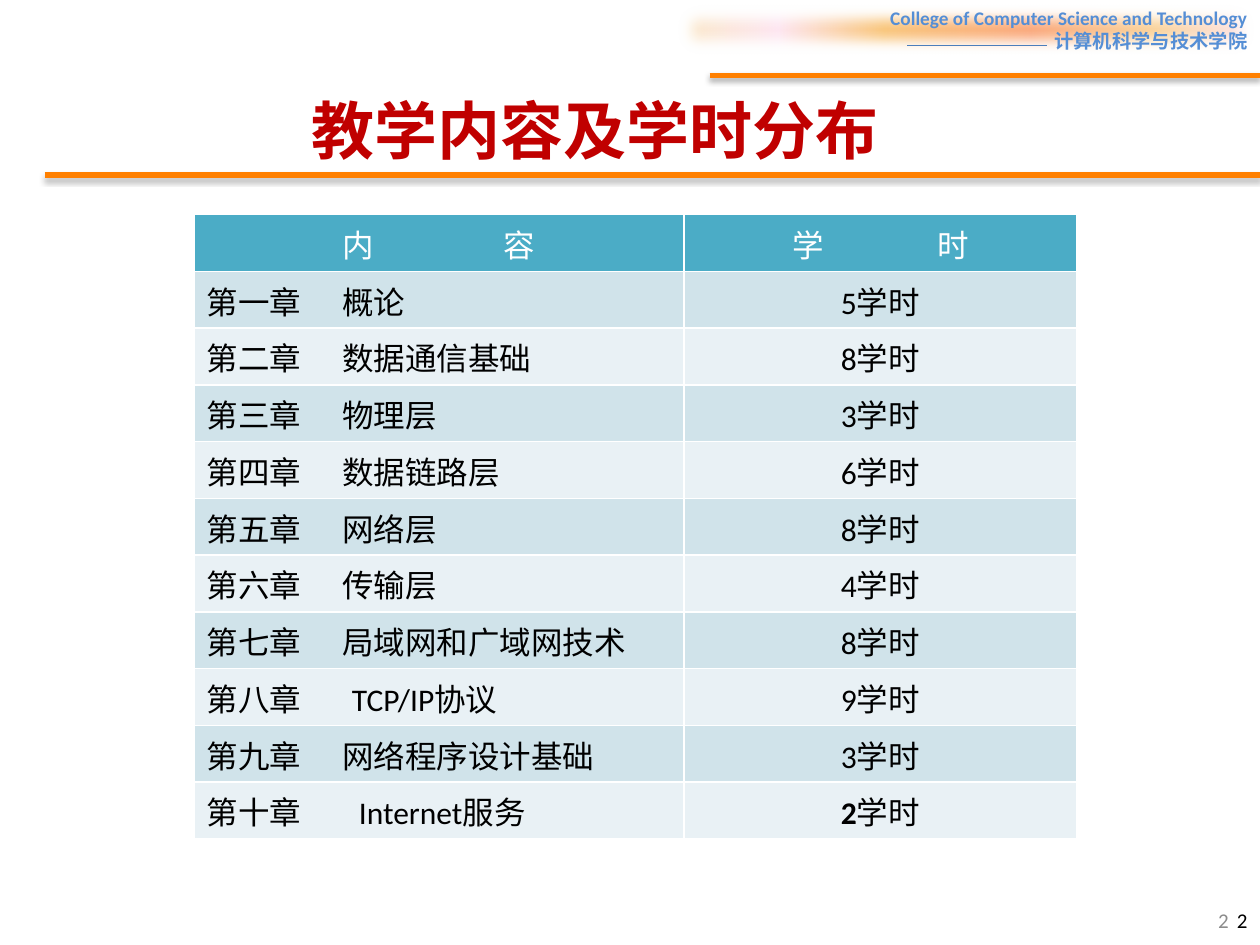
"""Build the slide listing the course chapters and their teaching hours."""
from dataclasses import dataclass

from lxml import etree
from pptx import Presentation
from pptx import util as u
from pptx.dml.color import RGBColor
from pptx.enum import shapes, text
from pptx.oxml import ns

Pt = u.Pt
A = ns.nsdecls("a")
BLUE = RGBColor(0x55, 0x8E, 0xD5)
RULE_BLUE = RGBColor(0x4B, 0x7E, 0xBC)
ORANGE = RGBColor(0xFF, 0x80, 0x00)
RED = RGBColor(0xC0, 0x00, 0x00)
GREY = RGBColor(0x8C, 0x8C, 0x8C)
BLACK = RGBColor(0x00, 0x00, 0x00)
WHITE = RGBColor(0xFF, 0xFF, 0xFF)
TEAL = RGBColor(0x4B, 0xAC, 0xC6)
BANDS = (RGBColor(0xD0, 0xE3, 0xEA), RGBColor(0xE9, 0xF1, 0xF5))
GLOW = ((0, "FBEAC7"), (18, "FEE7F2"), (36, "FAC77D"),
        (61, "FBA97D"), (82, "FBD49C"), (100, "FEE7F2"))
LATIN, CJK = "Calibri", "Noto Sans CJK SC"
LEFT, CENTER, RIGHT = (text.PP_ALIGN.LEFT, text.PP_ALIGN.CENTER,
                       text.PP_ALIGN.RIGHT)


@dataclass(frozen=True)
class Chapter:
    number: str
    topic: str
    hours: str
    tab: float = 77.5
    bold: bool = False


@dataclass(frozen=True)
class Rule:
    x1: float
    x2: float
    y: float
    color: RGBColor
    width: float
    shadow: bool = False


@dataclass(frozen=True)
class Label:
    words: str
    box: tuple
    align: text.PP_ALIGN
    anchor: text.MSO_ANCHOR
    style: dict


CHAPTERS = (
    Chapter("第一章", "概论", "5"),
    Chapter("第二章", "数据通信基础", "8"),
    Chapter("第三章", "物理层", "3"),
    Chapter("第四章", "数据链路层", "6"),
    Chapter("第五章", "网络层", "8"),
    Chapter("第六章", "传输层", "4"),
    Chapter("第七章", "局域网和广域网技术", "8"),
    Chapter("第八章", "TCP/IP协议", "9", tab=83),
    Chapter("第九章", "网络程序设计基础", "3"),
    Chapter("第十章", "Internet服务", "2", tab=87, bold=True),
)
HEADINGS = (("内", "容", 35), ("学", "时", 30.5))
RULES = (
    Rule(518.5, 598.5, 26, RULE_BLUE, 0.75),
    Rule(25.5, 720, 100, ORANGE, 3, True),
    Rule(405.5, 720, 43, ORANGE, 3, True),
)
LABELS = (
    Label("教学内容及学时分布", (111, 49, 458, 51), CENTER, text.MSO_ANCHOR.TOP,
          {"size": Pt(36), "bold": True, "name": CJK, "color": RED}),
    Label("2", (541.5, 511.2, 167.8, 28.8), RIGHT, text.MSO_ANCHOR.MIDDLE,
          {"size": Pt(12), "color": GREY}),
    Label("2", (552.2, 511.2, 167.8, 28.8), RIGHT, text.MSO_ANCHOR.MIDDLE,
          {"size": Pt(12), "color": BLACK}),
)


def add_run(p, words: str, color: RGBColor, spacing: float = 0, **style) -> None:
    """Append a run with Latin and East Asian fonts."""
    r = p.add_run()
    r.text = words
    for key, value in {"name": LATIN, **style}.items():
        setattr(r.font, key, value)
    r.font.color.rgb = color
    rpr = r.font._element
    etree.SubElement(rpr, ns.qn("a:ea"), typeface=CJK)
    if spacing:
        rpr.set("spc", str(int(spacing * 100)))


def add_banner(s) -> None:
    """Draw the soft-edged gradient strip with the college name."""
    sp = s.shapes.add_shape(shapes.MSO_SHAPE.RECTANGLE,
                            Pt(384), Pt(0), Pt(336), Pt(34))
    sp.line.fill.background()
    stops = "".join(f'<a:gs pos="{pos * 1000}"><a:srgbClr val="{rgb}"/></a:gs>'
                    for pos, rgb in GLOW)
    grad = etree.fromstring(f'<a:gradFill {A} rotWithShape="1"><a:gsLst>{stops}'
                            '</a:gsLst><a:lin ang="0" scaled="1"/></a:gradFill>')
    sppr = sp._element.spPr
    sppr.insert(2, grad)
    sppr.append(etree.fromstring(
        f'<a:effectLst {A}><a:softEdge rad="{Pt(9)}"/></a:effectLst>'))
    tf = sp.text_frame
    tf.word_wrap, tf.vertical_anchor = True, text.MSO_ANCHOR.TOP
    names = ("College of Computer Science and Technology", "计算机科学与技术学院")
    for p, words in zip((tf.paragraphs[0], tf.add_paragraph()), names):
        p.alignment = RIGHT
        add_run(p, words, BLUE, size=Pt(11), bold=True)


def add_rule(s, rule: Rule) -> None:
    """Draw one horizontal line."""
    sp = s.shapes.add_connector(shapes.MSO_CONNECTOR.STRAIGHT, Pt(rule.x1),
                                Pt(rule.y), Pt(rule.x2), Pt(rule.y))
    sp.line.color.rgb = rule.color
    sp.line.width = Pt(rule.width)
    shadow = (f'<a:outerShdw blurRad="{Pt(3.1)}" dist="{Pt(1.8)}" dir="5400000">'
              '<a:srgbClr val="000000"><a:alpha val="35000"/></a:srgbClr>'
              '</a:outerShdw>') if rule.shadow else ""
    sp._element.spPr.append(
        etree.fromstring(f'<a:effectLst {A}>{shadow}</a:effectLst>'))


def add_label(s, label: Label) -> None:
    """Place one text box."""
    tf = s.shapes.add_textbox(*map(Pt, label.box)).text_frame
    tf.word_wrap, tf.vertical_anchor = True, label.anchor
    p = tf.paragraphs[0]
    p.alignment = label.align
    add_run(p, label.words, **label.style)


def format_cell(cell, fill: RGBColor, align: text.PP_ALIGN):
    """Fill and border a cell and return its paragraph."""
    cell.fill.solid()
    cell.fill.fore_color.rgb = fill
    for i, side in enumerate("LRTB"):
        cell._tc.tcPr.insert(i, etree.fromstring(
            f'<a:ln{side} {A} w="{Pt(1)}"><a:solidFill>'
            f'<a:srgbClr val="{WHITE}"/></a:solidFill></a:ln{side}>'))
    p = cell.text_frame.paragraphs[0]
    p.alignment = align
    return p


def add_hours_table(s) -> None:
    """Draw the table of chapters and hours."""
    rows = len(CHAPTERS) + 1
    table = s.shapes.add_table(rows, 2, Pt(110.9), Pt(122.6),
                               Pt(504.5), Pt(32.45 * rows)).table
    for column, width in zip(table.columns, (280, 224.5)):
        column.width = Pt(width)
    for cell, (first, last, spacing) in zip(table.rows[0].cells, HEADINGS):
        p = format_cell(cell, TEAL, CENTER)
        add_run(p, first + " ", WHITE, spacing, size=Pt(18), bold=False)
        add_run(p, last, WHITE, size=Pt(18), bold=False)
    for i, chapter in enumerate(CHAPTERS):
        fill = BANDS[i % 2]
        p = format_cell(table.cell(i + 1, 0), fill, LEFT)
        p._p.get_or_add_pPr().append(etree.fromstring(
            f'<a:tabLst {A}><a:tab pos="{Pt(chapter.tab)}" algn="l"/></a:tabLst>'))
        add_run(p, f"{chapter.number}\t{chapter.topic}", BLACK, size=Pt(18))
        p = format_cell(table.cell(i + 1, 1), fill, CENTER)
        add_run(p, chapter.hours, BLACK, size=Pt(18), bold=chapter.bold)
        add_run(p, "学时", BLACK, size=Pt(18), bold=False)


def main() -> None:
    """Assemble and save the slide."""
    prs = Presentation()
    prs.slide_width, prs.slide_height = Pt(720), Pt(540)
    s = prs.slides.add_slide(prs.slide_layouts[6])
    add_banner(s)
    for rule in RULES:
        add_rule(s, rule)
    for label in LABELS:
        add_label(s, label)
    add_hours_table(s)
    prs.save("out.pptx")


if __name__ == "__main__":
    main()
